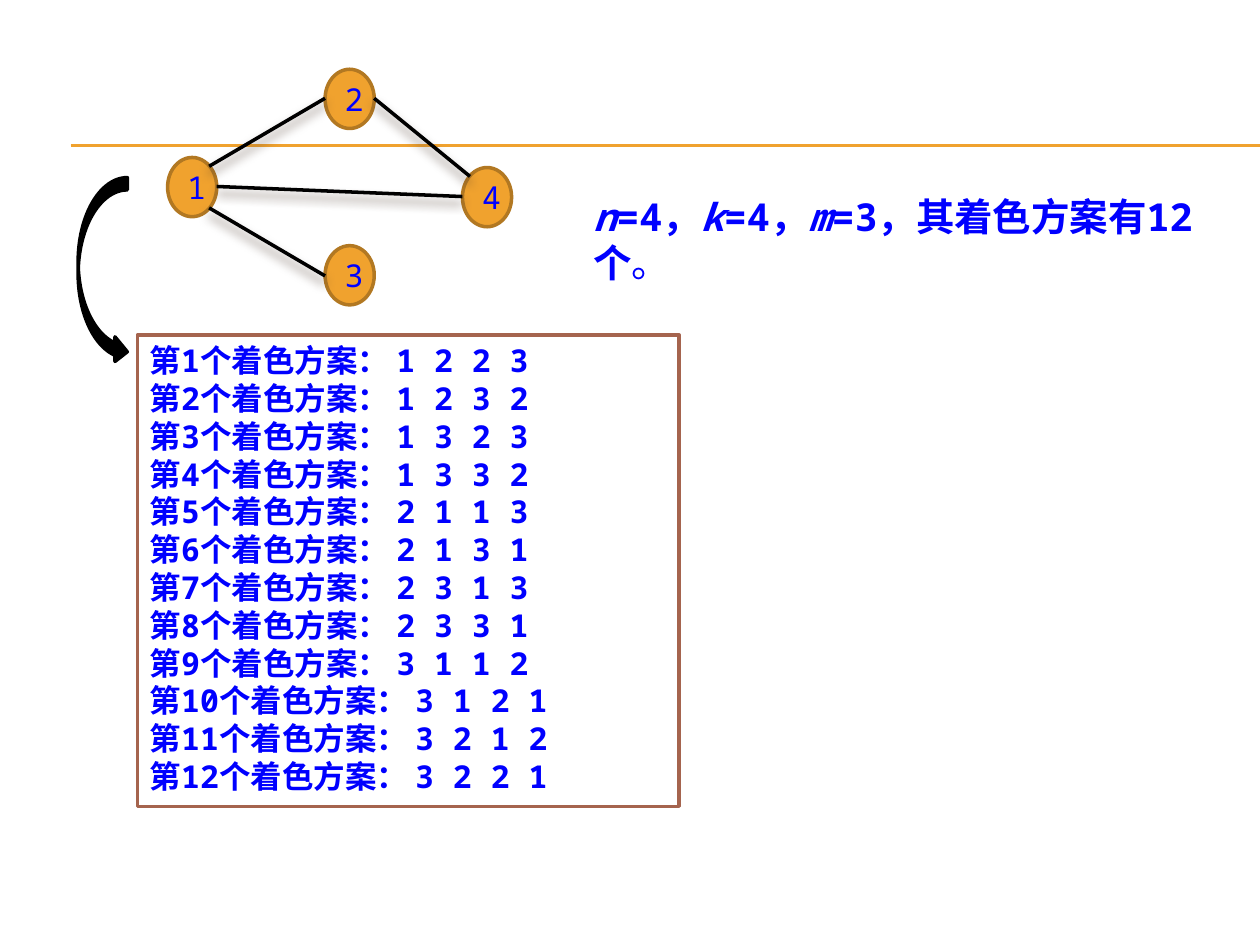
"""Build a slide on the three-colourings of a four-node graph."""
from lxml import etree
from pptx import Presentation, util as u
from pptx.dml.color import RGBColor
from pptx.enum import shapes, text
from pptx.oxml import ns

FONT = "Noto Sans Mono"
HUE = {"gold": "F0A22E", "rim": "B27822", "ink": "0000FF", "edge": "000000",
       "frame": "A5644E", "paper": "FFFFFF", "shade": "4E3B30"}
NODE_W, NODE_H = 0.39, 0.47
NODES = [("1", 1.33, 1.25), ("2", 2.58, 0.55), ("3", 2.58, 1.95), ("4", 3.67, 1.33)]
EDGES = [(1.66, 1.32, 2.58, 0.78), (1.66, 1.65, 2.58, 2.19),
         (1.72, 1.48, 3.67, 1.56), (2.97, 0.78, 3.73, 1.4)]
PLANS = ["1 2 2 3", "1 2 3 2", "1 3 2 3", "1 3 3 2", "2 1 1 3", "2 1 3 1",
         "2 3 1 3", "2 3 3 1", "3 1 1 2", "3 1 2 1", "3 2 1 2", "3 2 2 1"]


def tint(name):
    """Return the named colour."""
    return RGBColor.from_string(HUE[name])


def inches(*sizes):
    """Return the sizes as lengths."""
    return [u.Inches(size) for size in sizes]


def write(para, words, size=18, bold=False, italic=False):
    """Add a run of formatted words to a paragraph."""
    run = para.add_run()
    run.text = words
    font = run.font
    font.name, font.size = FONT, u.Pt(size)
    font.bold, font.italic = bold, italic
    font.color.rgb = tint("ink")


def add_form(slide, kind, box, fill, line):
    """Add a filled and outlined preset shape."""
    form = slide.shapes.add_shape(kind, *inches(*box))
    form.shadow.inherit = False
    form.fill.solid()
    form.fill.fore_color.rgb = tint(fill)
    form.line.color.rgb = tint(line)
    form.line.width = u.Pt(2)
    return form


def add_line(slide, ends, hue, width, shade=False):
    """Add a straight line, with a soft shadow below it if asked."""
    line = slide.shapes.add_connector(shapes.MSO_CONNECTOR.STRAIGHT, *inches(*ends))
    line.line.color.rgb = tint(hue)
    line.line.width = u.Pt(width)
    props = line._element.spPr
    effect = etree.SubElement(props, ns.qn("a:effectLst"))
    if shade:
        cast = etree.SubElement(effect, ns.qn("a:outerShdw"), blurRad=str(u.Pt(6)),
                                dist=str(u.Pt(4)), dir="5400000", rotWithShape="0")
        color = etree.SubElement(cast, ns.qn("a:srgbClr"), val=HUE["shade"])
        etree.SubElement(color, ns.qn("a:alpha"), val="60000")


def add_node(slide, label, left, top):
    """Add a numbered graph node."""
    node = add_form(slide, shapes.MSO_SHAPE.OVAL, (left, top, NODE_W, NODE_H), "gold", "rim")
    frame = node.text_frame
    frame.vertical_anchor = text.MSO_ANCHOR.MIDDLE
    para = frame.paragraphs[0]
    para.alignment = text.PP_ALIGN.CENTER
    write(para, label)


def add_claim(slide):
    """Add the statement of the number of colourings."""
    frame = slide.shapes.add_textbox(*inches(4.61, 1.48, 5.16, 0.47)).text_frame
    frame.word_wrap = True
    frame.auto_size = text.MSO_AUTO_SIZE.SHAPE_TO_FIT_TEXT
    para = frame.paragraphs[0]
    for name, value in [("n", "=4，"), ("k", "=4，"), ("m", "=3，其着色方案有12个")]:
        write(para, name, size=22, bold=True, italic=True)
        write(para, value, size=22, bold=True)
    write(para, "。", size=22)


def add_plans(slide):
    """Add the framed list of colourings."""
    box = add_form(slide, shapes.MSO_SHAPE.RECTANGLE, (1.09, 2.66, 4.3, 3.74), "paper", "frame")
    frame = box.text_frame
    frame.word_wrap = True
    frame.auto_size = text.MSO_AUTO_SIZE.SHAPE_TO_FIT_TEXT
    frame.vertical_anchor = text.MSO_ANCHOR.TOP
    for count, plan in enumerate(PLANS, 1):
        para = frame.paragraphs[0] if count == 1 else frame.add_paragraph()
        para.alignment = text.PP_ALIGN.LEFT
        write(para, f"第{count}个着色方案： {plan}", bold=True)


def main():
    """Build and save the slide."""
    deck = Presentation()
    deck.slide_width, deck.slide_height = inches(10, 7.5)
    slide = deck.slides.add_slide(deck.slide_layouts[6])
    for top in (1.15, 1.16):
        add_line(slide, (0.56, top, 10, top), "gold", 0.75)
    for node in NODES:
        add_node(slide, *node)
    for ends in EDGES:
        add_line(slide, ends, "edge", 2, shade=True)
    add_claim(slide)
    add_plans(slide)
    add_form(slide, shapes.MSO_SHAPE.CURVED_RIGHT_ARROW, (0.62, 1.41, 0.39, 1.48), "edge", "edge")
    deck.save("out.pptx")


if __name__ == "__main__":
    main()
